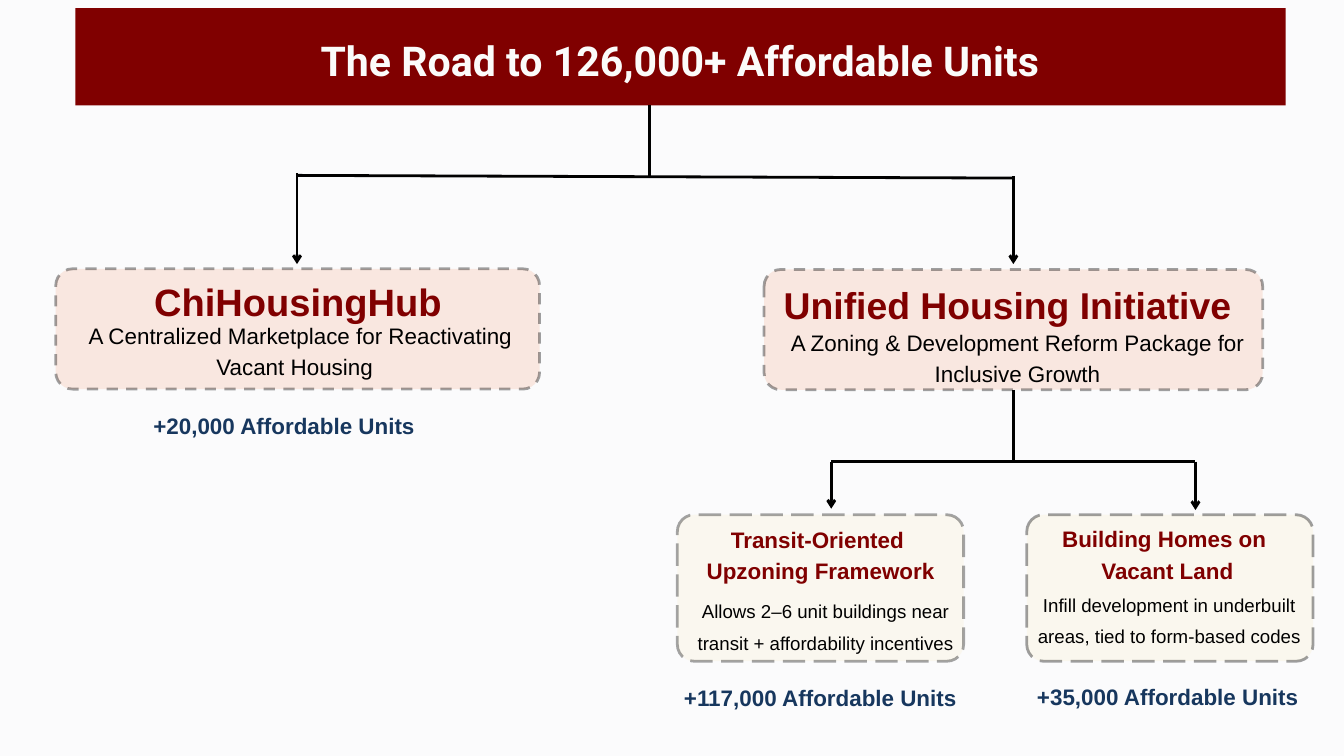
from lxml.etree import SubElement
from pptx import Presentation
from pptx.dml.color import RGBColor
from pptx.enum.dml import MSO_LINE
from pptx.enum.shapes import MSO_CONNECTOR, MSO_SHAPE
from pptx.enum.text import MSO_ANCHOR, PP_ALIGN
from pptx.oxml import parse_xml
from pptx.oxml.ns import nsdecls, qn
from pptx.util import Inches, Pt

MAROON, NAVY, BLACK = "800000", "17375E", "000000"


def paint(fill, color, opacity=100):
    fill.solid()
    fill.fore_color.rgb = RGBColor.from_string(color)
    if opacity < 100:
        for tint in fill._xPr.iter(qn("a:srgbClr")):
            SubElement(tint, qn("a:alpha"), val=str(opacity * 1000))


def write(frame, lines, size, color, bold, spacing, font="Arial"):
    frame.word_wrap = True
    frame.margin_left = frame.margin_right = 0
    frame.margin_top = frame.margin_bottom = 0
    for number, line in enumerate(lines):
        paragraph = frame.add_paragraph() if number else frame.paragraphs[0]
        paragraph.alignment = PP_ALIGN.CENTER
        paragraph.line_spacing = Pt(spacing)
        run = paragraph.add_run()
        run.text = line
        run.font.name = font
        run.font.size = Pt(size)
        run.font.bold = bold
        paint(run.font.fill, color)


prs = Presentation()
prs.slide_width, prs.slide_height = Inches(20), Inches(11.25)
slide = prs.slides.add_slide(prs.slide_layouts[5])
paint(slide.background.fill, "FBFBFC")

headline = slide.shapes.title
headline.left, headline.top = Inches(1.12), Inches(0.12)
headline.width, headline.height = Inches(18.01), Inches(1.45)
rounded = parse_xml(f'<a:prstGeom {nsdecls("a")} prst="roundRect"><a:avLst/></a:prstGeom>')
headline._element.spPr.insert(1, rounded)
paint(headline.fill, MAROON)
headline.text_frame.vertical_anchor = MSO_ANCHOR.MIDDLE
write(headline.text_frame, ["The Road to 126,000+ Affordable Units"], 44, "FBFBFA", True, 60, "Roboto")

cards = {}
for name, left, top, width, height, color, opacity, dash in [
    ("transit", 10.08, 7.66, 4.26, 2.18, "F9F1D7", 35, MSO_LINE.LONG_DASH),
    ("vacant land", 15.28, 7.66, 4.26, 2.18, "F9F1D7", 36, MSO_LINE.LONG_DASH),
    ("hub", 0.83, 4, 7.2, 1.79, "F6C5AF", 36, MSO_LINE.DASH),
    ("initiative", 11.37, 4.01, 7.42, 1.79, "F6C5AF", 36, MSO_LINE.DASH),
]:
    card = slide.shapes.add_shape(
        MSO_SHAPE.ROUNDED_RECTANGLE, Inches(left), Inches(top), Inches(width), Inches(height))
    card.adjustments[0] = 0.25 / height
    card.shadow.inherit = False
    paint(card.fill, color, opacity)
    paint(card.line.fill, BLACK, opacity)
    card.line.width = Pt(3)
    card.line.dash_style = dash
    cards[name] = card

for x1, y1, x2, y2, arrow, source in [
    (9.67, 1.57, 9.67, 2.63, False, None),
    (4.42, 2.61, 15.08, 2.65, False, None),
    (4.42, 2.58, 4.42, 3.93, True, None),
    (15.08, 2.62, 15.08, 3.93, True, None),
    (15.08, 5.8, 15.08, 6.87, False, "initiative"),
    (12.37, 6.87, 17.79, 6.87, False, None),
    (12.37, 6.87, 12.37, 7.57, True, None),
    (17.79, 6.87, 17.79, 7.59, True, None),
]:
    branch = slide.shapes.add_connector(
        MSO_CONNECTOR.STRAIGHT, Inches(x1), Inches(y1), Inches(x2), Inches(y2))
    if source:
        branch.begin_connect(cards[source], 2)
    paint(branch.line.fill, BLACK)
    branch.line.width = Pt(3)
    if arrow:
        SubElement(branch.line._get_or_add_ln(), qn("a:tailEnd"), type="arrow")
    SubElement(branch._element.spPr, qn("a:effectLst"))

for left, top, width, height, lines, size, color, bold, spacing in [
    (1.99, 4.03, 4.89, 0.8, ["ChiHousingHub"], 40.8, MAROON, True, 57.1),
    (1.22, 4.74, 6.42, 0.88,
     [" A Centralized Marketplace for Reactivating", "Vacant Housing "], 24, BLACK, False, 32.9),
    (10.98, 4.09, 8.18, 0.8, ["Unified Housing Initiative "], 40, MAROON, True, 56),
    (11.47, 4.83, 7.34, 0.91,
     ["A Zoning & Development Reform Package for Inclusive Growth"], 24, BLACK, False, 33.6),
    (10.08, 7.76, 4.26, 0.9, ["Transit-Oriented ", "Upzoning Framework"], 24, MAROON, True, 33.6),
    (15.24, 7.75, 4.26, 0.9, ["Building Homes on ", "Vacant Land"], 24, MAROON, True, 33.6),
    (10.23, 8.8, 4.11, 0.9,
     ["Allows 2–6 unit buildings near transit + affordability incentives"], 20, BLACK, False, 33.6),
    (15.24, 8.7, 4.32, 0.9,
     ["Infill development in underbuilt areas, tied to form-based codes"], 20, BLACK, False, 33.6),
    (1, 6.03, 6.45, 0.46, ["+20,000 Affordable Units"], 24, NAVY, True, 36.4),
    (8.98, 10.07, 6.45, 0.46, ["+117,000 Affordable Units"], 24, NAVY, True, 36.4),
    (14.15, 10.06, 6.45, 0.46, ["+35,000 Affordable Units"], 24, NAVY, True, 36.4),
]:
    caption = slide.shapes.add_textbox(Inches(left), Inches(top), Inches(width), Inches(height))
    write(caption.text_frame, lines, size, color, bold, spacing)

prs.save("out.pptx")
